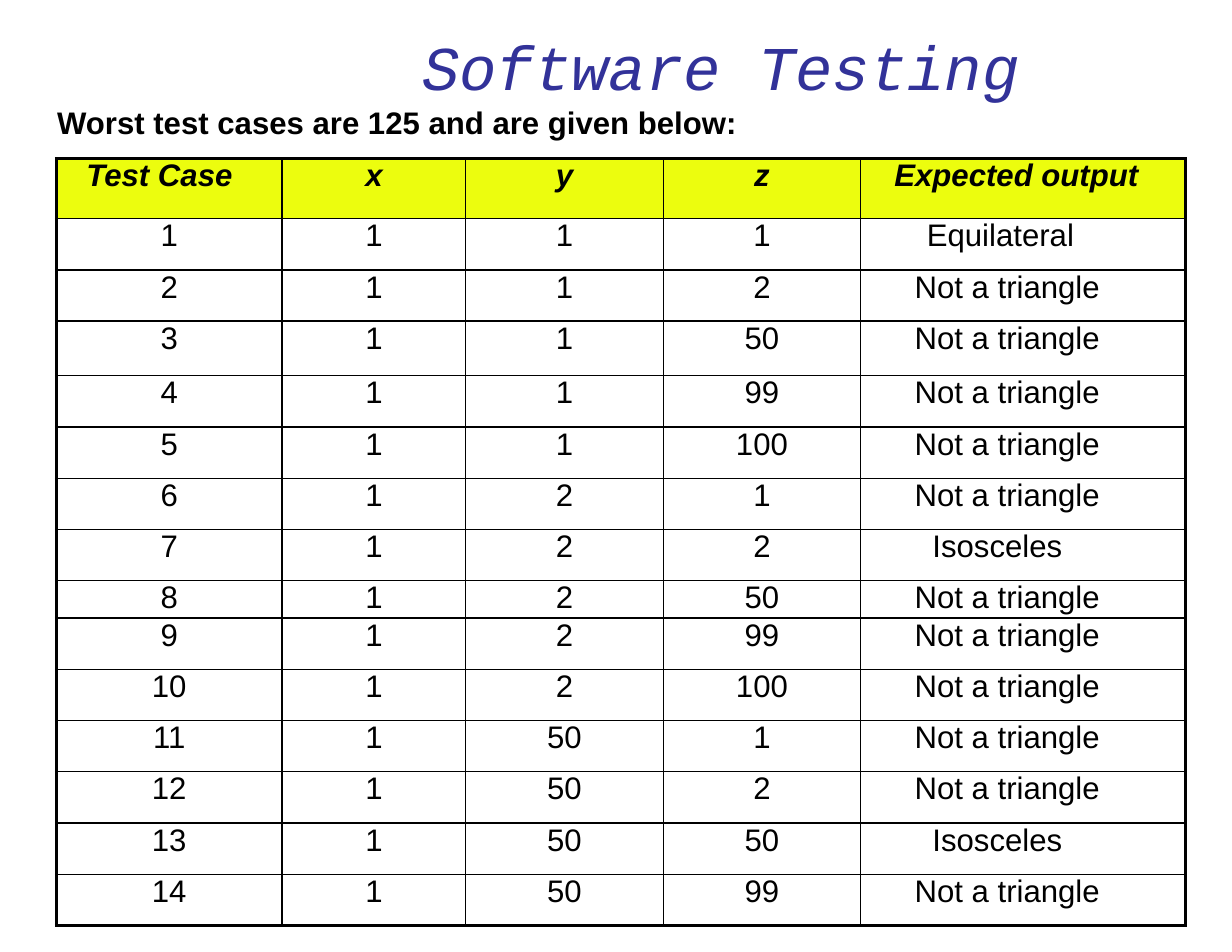
from itertools import islice, product

from lxml.etree import SubElement
from pptx import Presentation
from pptx.dml.color import RGBColor
from pptx.enum.text import MSO_ANCHOR as Anchor, PP_ALIGN as Align
from pptx.oxml.ns import qn
from pptx.util import Pt

COLORS = {"title": "323299", "ink": "000000", "header": "ECFD0E"}
HEADERS = ["Test Case", "x", "y", "z", "Expected output"]
SIDE_VALUES = [1, 2, 50, 99, 100]
CASES_SHOWN = 14
COLUMN_WIDTHS = [145.2, 118, 127, 127, 208.8]
ROW_HEIGHT = 32.95
SPECIAL_HEIGHTS = {0: 38.6, 3: 35.1, 8: 23.9}
INDENTS = {"Test Case": 19.4, "Expected output": 21.6, "Equilateral": 42.5,
           "Not a triangle": 34.6, "Isosceles": 46.1}
THIN, THICK = 1, 2.25


def style(paragraph, face, size, color, bold=False, italic=False, indent=0):
    paragraph.alignment = Align.LEFT
    font = paragraph.font
    font.name, font.size, font.bold, font.italic = face, Pt(size), bold, italic
    font.color.rgb = RGBColor.from_string(COLORS[color])
    properties = paragraph._p.get_or_add_pPr()
    properties.set("marL", str(Pt(indent)))
    properties.set("indent", "0")


def place_frame(shape, left, top, width, height, inset_top=0):
    shape.left, shape.top = Pt(left), Pt(top)
    shape.width, shape.height = Pt(width), Pt(height)
    frame = shape.text_frame
    frame.margin_left = frame.margin_right = frame.margin_bottom = 0
    frame.margin_top = Pt(inset_top)
    frame.vertical_anchor = Anchor.TOP
    frame.word_wrap = True
    return frame


def add_heading(slide, left, top, width, height):
    frame = place_frame(slide.shapes.title, left, top, width, height, 16.6)
    frame.text = "Software Testing"
    style(frame.paragraphs[0], "Courier New", 40, "title", italic=True, indent=208.8)


def add_lead(slide, left, top, width, height):
    lead = slide.shapes.add_textbox(0, 0, 0, 0)
    frame = place_frame(lead, left, top, width, height)
    frame.text = "Worst test cases are 125 and are given below:"
    style(frame.paragraphs[0], "Arial", 20, "ink", bold=True, indent=0.7)


def triangle_kind(*sides):
    short, middle, longest = sorted(sides)
    if short + middle <= longest:
        return "Not a triangle"
    return {1: "Equilateral", 2: "Isosceles", 3: "Scalene"}[len(set(sides))]


def case_rows():
    """First worst cases, with x held at its lowest value."""
    cases = islice(product(SIDE_VALUES, repeat=3), CASES_SHOWN)
    return [[number, *sides, triangle_kind(*sides)]
            for number, sides in enumerate(cases, 1)]


def set_borders(cell, widths):
    properties = cell._tc.get_or_add_tcPr()
    for side, width in widths.items():
        line = SubElement(properties, qn(f"a:ln{side}"), w=str(Pt(width)))
        fill = SubElement(line, qn("a:solidFill"))
        SubElement(fill, qn("a:srgbClr"), val=COLORS["ink"])


def fill_cell(cell, content, is_header):
    cell.margin_left = cell.margin_right = cell.margin_top = cell.margin_bottom = 0
    cell.vertical_anchor = Anchor.TOP
    cell.text = str(content)
    paragraph = cell.text_frame.paragraphs[0]
    style(paragraph, "Arial", 20, "ink", bold=is_header, italic=is_header,
          indent=INDENTS.get(content, 0))
    if content not in INDENTS:
        paragraph.alignment = Align.CENTER
    if is_header:
        cell.fill.solid()
        cell.fill.fore_color.rgb = RGBColor.from_string(COLORS["header"])
    else:
        cell.fill.background()


def add_case_table(slide, left, top):
    rows = [HEADERS, *case_rows()]
    heights = [SPECIAL_HEIGHTS.get(r, ROW_HEIGHT) for r in range(len(rows))]
    table = slide.shapes.add_table(
        len(rows), len(HEADERS), Pt(left), Pt(top),
        Pt(sum(COLUMN_WIDTHS)), Pt(sum(heights))).table
    table.first_row = table.horz_banding = False
    for column, width in zip(table.columns, COLUMN_WIDTHS):
        column.width = Pt(width)
    last_row, last_column = len(rows) - 1, len(HEADERS) - 1
    for r, values in enumerate(rows):
        table.rows[r].height = Pt(heights[r])
        for c, content in enumerate(values):
            cell = table.cell(r, c)
            set_borders(cell, {"L": THICK if c == 0 else THIN,
                               "R": THICK if c == last_column else THIN,
                               "T": THICK if r == 0 else THIN,
                               "B": THICK if r == last_row else THIN})
            fill_cell(cell, content, r == 0)


def main():
    deck = Presentation()
    deck.slide_width, deck.slide_height = Pt(792), Pt(612)
    slide = deck.slides.add_slide(deck.slide_layouts.get_by_name("Title Only"))
    add_heading(slide, 62.6, 1.4, 659.5, 65.5)
    add_lead(slide, 36, 66.2, 612, 24.5)
    add_case_table(slide, 36.2, 102)
    deck.save("out.pptx")


if __name__ == "__main__":
    main()
